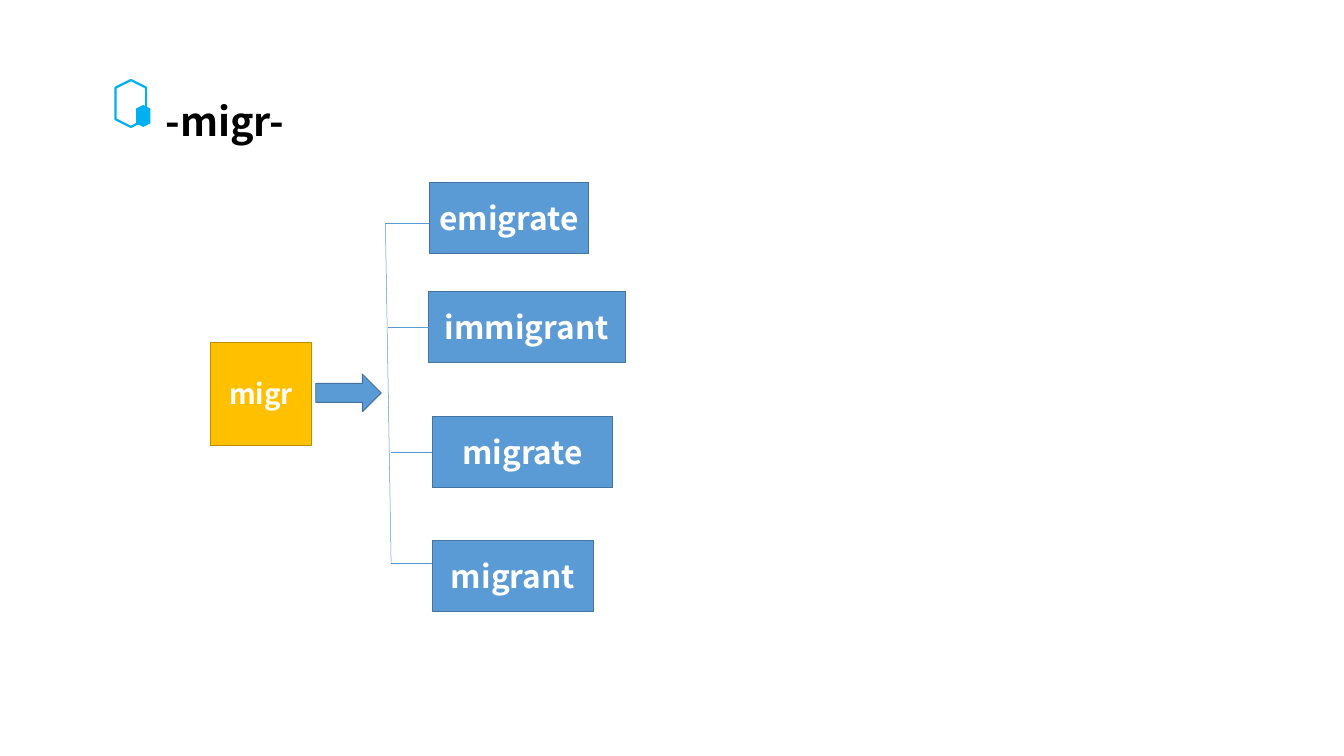
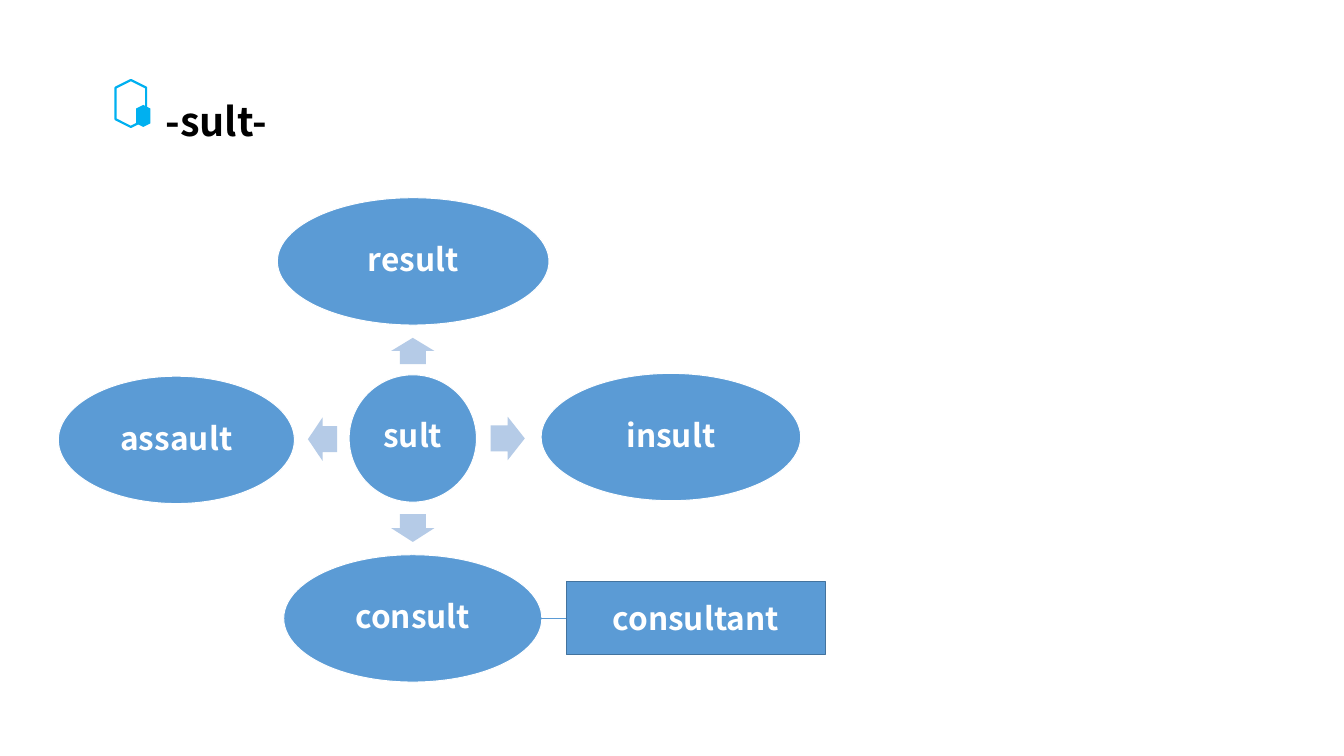
from lxml.etree import SubElement
from pptx import Presentation
from pptx.dml.color import RGBColor
from pptx.enum.shapes import MSO_CONNECTOR, MSO_SHAPE
from pptx.enum.text import MSO_ANCHOR, MSO_AUTO_SIZE, PP_ALIGN
from pptx.oxml.ns import qn
from pptx.util import Emu, Pt

# Shared look: 100 px to the inch
SCALE = 9144
SLIDE_SIZE = (1890, 1063)
FONT = "Noto Sans CJK SC"
BLUE = RGBColor(0x5B, 0x9B, 0xD5)
DARK_BLUE = RGBColor(0x43, 0x73, 0x9E)
PALE_BLUE = RGBColor(0xB5, 0xCB, 0xE7)
CYAN = RGBColor(0x00, 0xB0, 0xF0)
AMBER = RGBColor(0xFF, 0xC0, 0x00)
DARK_AMBER = RGBColor(0xBD, 0x8E, 0x00)
WHITE = RGBColor(0xFF, 0xFF, 0xFF)
BLACK = RGBColor(0x00, 0x00, 0x00)

# Slide 1: word, box, start of its branch on the spine
SPINE = (542, 314, 550, 792)
MIGR_WORDS = [
    ("emigrate", (604, 256, 224, 100), (542, 314)),
    ("immigrant", (603, 410, 276, 100), (545, 460)),
    ("migrate", (608, 586, 254, 100), (550, 636)),
    ("migrant", (608, 760, 227, 100), (550, 792)),
]
# Slide 2: word, ellipse, arrow box before turning, arrow angle
SULT_WORDS = [
    ("result", (390, 278, 382, 179), (562, 463, 37, 61), 270),
    ("insult", (761, 525, 365, 179), (690, 586, 48, 61), 0),
    ("consult", (399, 780, 363, 179), (561, 712, 39, 61), 90),
    ("assault", (82, 529, 332, 179), (433, 587, 41, 61), 180),
]


def px(values):
    return [Emu(value * SCALE) for value in values]


def write(shape, text, size, color=WHITE, align=PP_ALIGN.CENTER, spacing=None):
    paragraph = shape.text_frame.paragraphs[0]
    paragraph.text = text
    paragraph.alignment = align
    paragraph.line_spacing = spacing
    style = {"name": FONT, "size": Pt(size), "bold": True}
    for name, value in style.items():
        setattr(paragraph.font, name, value)
    paragraph.font.color.rgb = color


def add_figure(shapes, kind, box, fill=None, line=None, width=1, angle=0):
    shape = shapes.add_shape(kind, *px(box))
    shape.shadow.inherit = False
    shape.rotation = angle
    shape.text_frame.vertical_anchor = MSO_ANCHOR.MIDDLE
    for part, color in ((shape.fill, fill), (shape.line.fill, line)):
        if color is None:
            part.background()
        else:
            part.solid()
            part.fore_color.rgb = color
    if line is not None:
        shape.line.width = Pt(width)
    return shape


def add_word_box(slide, word, box, fill=BLUE, line=DARK_BLUE, size=32):
    shape = add_figure(slide.shapes, MSO_SHAPE.RECTANGLE, box, fill, line)
    write(shape, word, size)
    return shape


def add_word_ellipse(slide, word, box, spacing=0.9):
    shape = add_figure(slide.shapes, MSO_SHAPE.OVAL, box, BLUE, WHITE)
    frame = shape.text_frame
    for side in ("left", "top", "right", "bottom"):
        setattr(frame, f"margin_{side}", Emu(4 * SCALE))
    write(shape, word, 32, spacing=spacing)


def add_line(slide, ends):
    line = slide.shapes.add_connector(MSO_CONNECTOR.STRAIGHT, *px(ends))
    line.line.color.rgb = BLUE
    line.line.width = Pt(0.5)
    SubElement(line._element.spPr, qn("a:effectLst"))
    return line


def add_title_slide(presentation, title, width):
    slide = presentation.slides.add_slide(presentation.slide_layouts[6])
    # Hexagon badge
    badge = slide.shapes.add_group_shape().shapes
    add_figure(badge, MSO_SHAPE.HEXAGON, (151, 124, 66, 43), None, CYAN, 2.25, 90)
    add_figure(badge, MSO_SHAPE.HEXAGON, (186, 153, 31, 20), CYAN, angle=90)
    # Title
    box = slide.shapes.add_textbox(*px((223, 132, width, 77)))
    box.text_frame.word_wrap = False
    box.text_frame.auto_size = MSO_AUTO_SIZE.SHAPE_TO_FIT_TEXT
    write(box, title, 40, BLACK, PP_ALIGN.LEFT)
    return slide


def build_migr(presentation):
    slide = add_title_slide(presentation, "-migr-", 199)
    # Root and arrow
    add_word_box(slide, "migr", (296, 481, 142, 145), AMBER, DARK_AMBER, 28)
    add_figure(slide.shapes, MSO_SHAPE.RIGHT_ARROW, (444, 526, 92, 53), BLUE, DARK_BLUE)
    # Spine with one branch per word
    add_line(slide, SPINE)
    for word, box, (x, y) in MIGR_WORDS:
        shape = add_word_box(slide, word, box)
        left, top, _, height = box
        branch = add_line(slide, (x, y, left, y))
        if y == top + height // 2:
            branch.end_connect(shape, 1)


def build_sult(presentation):
    slide = add_title_slide(presentation, "-sult-", 170)
    # Root with words around it
    add_word_ellipse(slide, "sult", (491, 527, 179, 179), 0.8)
    for word, box, arrow_box, angle in SULT_WORDS:
        arrow = add_figure(slide.shapes, MSO_SHAPE.RIGHT_ARROW, arrow_box, PALE_BLUE, angle=angle)
        arrow.adjustments[0] = 0.6
        arrow.adjustments[1] = 0.5
        add_word_ellipse(slide, word, box)
    # Derived word
    derived = add_word_box(slide, "consultant", (796, 818, 365, 102))
    add_line(slide, (741, 869, 796, 869)).end_connect(derived, 1)


def main():
    presentation = Presentation()
    presentation.slide_width, presentation.slide_height = px(SLIDE_SIZE)
    build_migr(presentation)
    build_sult(presentation)
    presentation.save("out.pptx")


if __name__ == "__main__":
    main()
